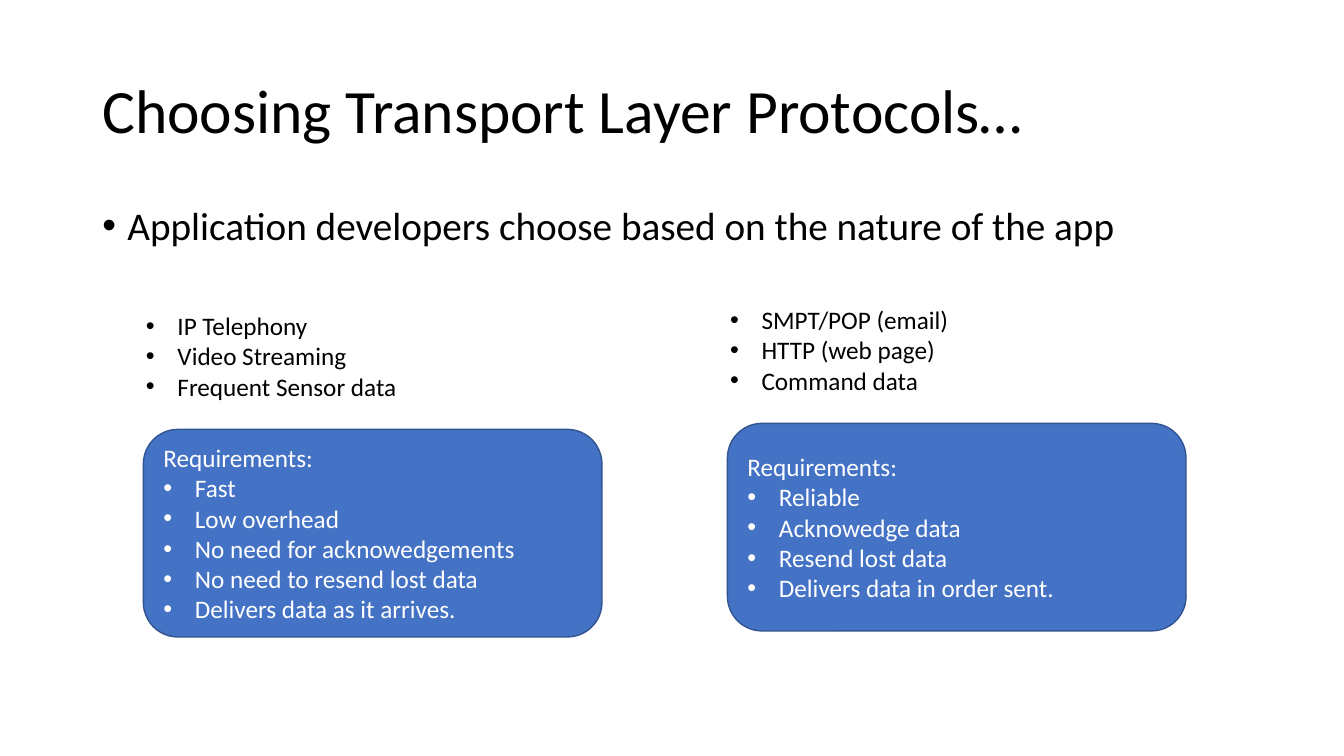
from pptx import Presentation
from pptx.dml.color import RGBColor
from pptx.enum.shapes import MSO_SHAPE as Shape
from pptx.enum.text import MSO_ANCHOR as Anchor, PP_ALIGN as Align
from pptx.oxml.ns import qn
from pptx.util import Pt
from lxml.etree import SubElement

BLACK = RGBColor(0x00, 0x00, 0x00)
WHITE = RGBColor(0xFF, 0xFF, 0xFF)
BLUE = RGBColor(0x44, 0x72, 0xC4)
DARK_BLUE = RGBColor(0x32, 0x54, 0x91)

TITLE_FONT = {"name": "Calibri", "size": Pt(44)}
LEAD_FONT = {"name": "Calibri", "size": Pt(28)}
LIST_FONT = {"name": "Calibri", "size": Pt(18)}

# Left, top, examples and requirements of each column
COLUMNS = [
    (97.2, 218.2,
     ["IP Telephony", "Video Streaming", "Frequent Sensor data"],
     ["Fast", "Low overhead", "No need for acknowedgements",
      "No need to resend lost data", "Delivers data as it arrives."]),
    (514.4, 213.9,
     ["SMPT/POP (email)", "HTTP (web page)", "Command data"],
     ["Reliable", "Acknowedge data", "Resend lost data",
      "Delivers data in order sent."]),
]


def add_bullet(paragraph, indent):
    properties = paragraph._p.get_or_add_pPr()
    properties.set("marL", str(Pt(indent)))
    properties.set("indent", str(-Pt(indent)))
    SubElement(properties, qn("a:buFont"), typeface="Arial")
    SubElement(properties, qn("a:buChar"), char="•")


def write_lines(frame, lines, font, color, indent=22.5, heading=False, spacing=1.0):
    """Fill a frame; lines are bulleted if indented, except a heading."""
    frame.word_wrap = True
    for number, line in enumerate(lines):
        paragraph = frame.paragraphs[0] if number == 0 else frame.add_paragraph()
        paragraph.text = line
        paragraph.alignment = Align.LEFT
        paragraph.line_spacing = spacing
        if indent and not (heading and number == 0):
            add_bullet(paragraph, indent)
        for attribute, value in font.items():
            setattr(paragraph.font, attribute, value)
        paragraph.font.color.rgb = color


def add_title(slide, left, top, width, height):
    frame = slide.shapes.add_textbox(Pt(left), Pt(top), Pt(width), Pt(height)).text_frame
    frame.vertical_anchor = Anchor.MIDDLE
    write_lines(frame, ["Choosing Transport Layer Protocols…"],
                TITLE_FONT, BLACK, indent=0, spacing=0.9)


def add_lead(slide, left, top, width, height):
    frame = slide.shapes.add_textbox(Pt(left), Pt(top), Pt(width), Pt(height)).text_frame
    write_lines(frame, ["Application developers choose based on the nature of the app"],
                LEAD_FONT, BLACK, indent=18, spacing=0.9)


def add_column(slide, left, top, examples, requirements):
    # Example applications
    example_list = slide.shapes.add_textbox(Pt(left), Pt(top), Pt(216), Pt(72.7))
    write_lines(example_list.text_frame, examples, LIST_FONT, BLACK)

    # Requirements card
    card = slide.shapes.add_shape(Shape.ROUNDED_RECTANGLE, Pt(left + 5.2),
                                  Pt(top + 88.5), Pt(327.6), Pt(148.3))
    card.shadow.inherit = False
    card.fill.solid()
    card.fill.fore_color.rgb = BLUE
    card.line.color.rgb = DARK_BLUE
    card.line.width = Pt(1)
    card.text_frame.vertical_anchor = Anchor.MIDDLE
    write_lines(card.text_frame, ["Requirements:", *requirements],
                LIST_FONT, WHITE, heading=True)


def main():
    deck = Presentation()
    deck.slide_width, deck.slide_height = Pt(960), Pt(540)
    slide = deck.slides.add_slide(deck.slide_layouts[6])
    add_title(slide, 66, 28.8, 828, 104.4)
    add_lead(slide, 66, 144, 828, 342.7)
    for column in COLUMNS:
        add_column(slide, *column)
    deck.save("out.pptx")


if __name__ == "__main__":
    main()
